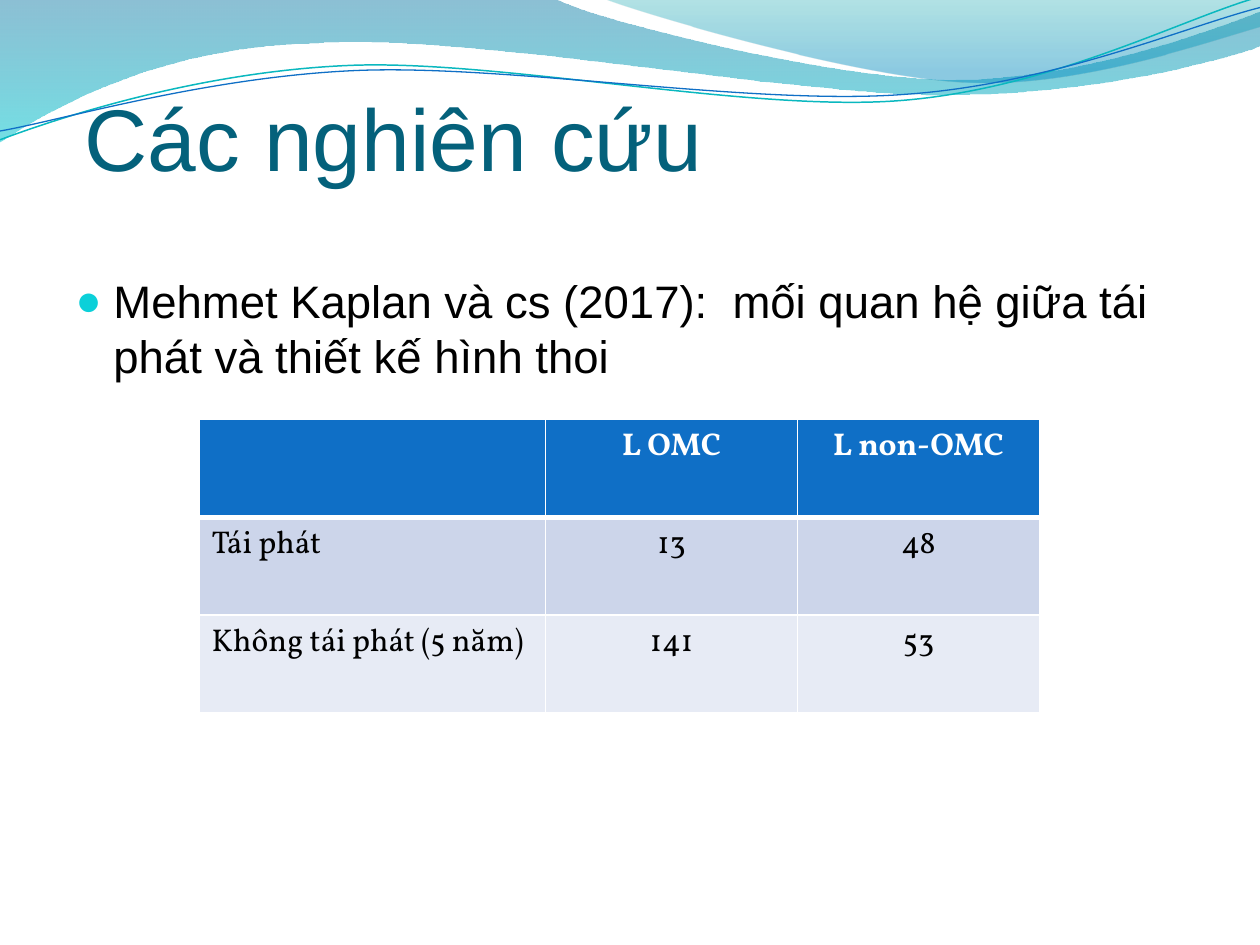
from dataclasses import dataclass
from typing import Optional

from lxml.etree import SubElement
from pptx import Presentation
from pptx.dml.color import RGBColor
from pptx.enum.text import MSO_ANCHOR, MSO_AUTO_SIZE, PP_ALIGN
from pptx.oxml.ns import qn
from pptx.util import Inches, Pt

ACCENT, BULLET = "0F6FC6", "0BD0D9"
WHITE, BLACK = "FFFFFF", "000000"


@dataclass
class Stop:
    position: float
    color: str
    opacity: int


@dataclass
class Wave:
    """Points are (x, y) for a line and (x1, y1, x2, y2, x, y) for a curve."""
    points: list
    stops: Optional[list] = None
    color: str = ""
    width: float = 0


WAVES = [
    Wave([(0, 0), (4.4, -0.01), (4.76, 0.17, 6.64, 0.63, 7.58, 0.63),
          (8.53, 0.63, 9.58, 0.26, 10, 0.09), (10.01, 0.36),
          (9.83, 0.44, 8.7, 0.76, 7.46, 0.75), (6.22, 0.75, 3.82, 0.28, 2.57, 0.34),
          (1.29, 0.36, 0.46, 0.83, -0.01, 1.13), (0, 0)],
         stops=[Stop(0, "0074A1", 45), Stop(1, "00C6CF", 55)]),
    Wave([(4.79, -0.01), (5.09, 0.11, 6.82, 0.62, 7.69, 0.65),
          (8.56, 0.69, 9.61, 0.32, 10, 0.21), (10, 0), (4.79, -0.01)],
         stops=[Stop(0, "00A1A9", 30), Stop(0.8, "008BBF", 45)]),
    Wave([(0, 1.11), (0.48, 0.93, 1.58, 0.57, 2.77, 0.52),
          (3.95, 0.47, 5.93, 0.89, 7.13, 0.8), (8.33, 0.71, 9.38, 0.15, 9.98, -0.02)],
         color="0AB8BF", width=0.85),
    Wave([(0, 1.04), (0.47, 0.96, 1.64, 0.61, 2.83, 0.56),
          (4.03, 0.51, 5.97, 0.84, 7.17, 0.75), (8.36, 0.67, 9.41, 0.21, 10, 0.06)],
         color=ACCENT, width=0.75),
]

RECURRENCE = [
    ["", "L OMC", "L non-OMC"],
    ["Tái phát", "13", "48"],
    ["Không tái phát (5 năm)", "141", "53"],
]
ROW_FILLS = [ACCENT, "CCD5EA", "E7EBF5"]
COLUMN_WIDTHS = [2.75, 2, 1.92]
ROW_HEIGHT = 2.33 / len(RECURRENCE)


def rgb(color: str) -> RGBColor:
    return RGBColor.from_string(color)


def write(frame, text: str, *, size: float, font: str = "Arial", color: str = BLACK,
          bold: bool = False, align=PP_ALIGN.LEFT, bullet: str = "") -> None:
    paragraph = frame.paragraphs[0]
    paragraph.alignment = align
    paragraph.space_before = Pt(0)
    if bullet:
        properties = paragraph._p.get_or_add_pPr()
        properties.set("marL", str(Inches(0.3)))
        properties.set("indent", str(-Inches(0.3)))
        SubElement(SubElement(properties, qn("a:buClr")), qn("a:srgbClr"), val=BULLET)
        SubElement(properties, qn("a:buSzPct"), val="95000")
        SubElement(properties, qn("a:buFont"), typeface="Arial")
        SubElement(properties, qn("a:buChar"), char=bullet)
    run = paragraph.add_run()
    run.text = text
    run.font.name, run.font.size, run.font.bold = font, Pt(size), bold
    run.font.color.rgb = rgb(color)


def place(shape, left: float, top: float, width: float, height: float) -> None:
    shape.left, shape.top = Inches(left), Inches(top)
    shape.width, shape.height = Inches(width), Inches(height)
    shape.text_frame.auto_size = MSO_AUTO_SIZE.NONE
    shape.text_frame.word_wrap = True


def bend(shape, points: list) -> None:
    """Join the three segments of every curve into one cubic curve."""
    segments = iter(shape.element.spPr.findall(".//" + qn("a:lnTo")))
    for point in points[1:]:
        first = next(segments)
        if len(point) == 2:
            continue
        first.tag = qn("a:cubicBezTo")
        for _ in range(2):
            extra = next(segments)
            extra.getparent().remove(extra)
            first.append(extra[0])


def draw_wave(slide, wave: Wave) -> None:
    start, *rest = [(Inches(x), Inches(y)) for point in wave.points
                    for x, y in zip(point[::2], point[1::2])]
    builder = slide.shapes.build_freeform(*start)
    builder.add_line_segments(rest, close=bool(wave.stops))
    shape = builder.convert_to_shape()
    bend(shape, wave.points)
    shape.shadow.inherit = False
    if not wave.stops:
        shape.fill.background()
        shape.line.color.rgb = rgb(wave.color)
        shape.line.width = Pt(wave.width)
        return
    shape.line.fill.background()
    shape.fill.gradient()
    shape.fill.gradient_angle = 270
    for target, stop in zip(shape.fill.gradient_stops, wave.stops):
        target.position = stop.position
        target.color.rgb = rgb(stop.color)
    colors = shape.element.spPr.findall(".//" + qn("a:gs") + "/" + qn("a:srgbClr"))
    for color, stop in zip(colors, wave.stops):
        SubElement(color, qn("a:alpha"), val=str(stop.opacity * 1000))


def set_borders(cell, **widths: float) -> None:
    properties = cell._tc.get_or_add_tcPr()
    for side in "LRTB":
        line = SubElement(properties, qn(f"a:ln{side}"), w=str(Pt(widths.get(side, 1))))
        SubElement(SubElement(line, qn("a:solidFill")), qn("a:srgbClr"), val=WHITE)


def draw_table(slide, left: float, top: float) -> None:
    table = slide.shapes.add_table(
        len(RECURRENCE), len(COLUMN_WIDTHS), Inches(left), Inches(top),
        Inches(sum(COLUMN_WIDTHS)), Inches(ROW_HEIGHT * len(RECURRENCE))).table
    for column, width in zip(table.columns, COLUMN_WIDTHS):
        column.width = Inches(width)
    for r, (labels, fill) in enumerate(zip(RECURRENCE, ROW_FILLS)):
        table.rows[r].height = Inches(ROW_HEIGHT)
        header = r == 0
        for c, label in enumerate(labels):
            cell = table.cell(r, c)
            set_borders(cell, T=3 if r == 1 else 1, B=3 if header else 1)
            cell.fill.solid()
            cell.fill.fore_color.rgb = rgb(fill)
            if label:
                write(cell.text_frame, label, size=18, font="Vollkorn", bold=header,
                      color=WHITE if header else BLACK,
                      align=PP_ALIGN.CENTER if c else PP_ALIGN.LEFT)


def main() -> None:
    deck = Presentation()
    deck.slide_width, deck.slide_height = Inches(10), Inches(7.5)
    slide = deck.slides.add_slide(deck.slide_layouts[1])

    # Wave decoration along the top
    for wave in WAVES:
        draw_wave(slide, wave)

    # Title and body, brought in front of the waves
    title, study = slide.shapes.title, slide.placeholders[1]
    for placeholder in (title, study):
        slide.shapes._spTree.append(placeholder.element)
    place(title, 0.67, 0.25, 9, 1.25)
    heading = title.text_frame
    heading.margin_left = heading.margin_right = heading.margin_bottom = 0
    heading.vertical_anchor = MSO_ANCHOR.BOTTOM
    write(heading, "Các nghiên cứu", size=50, color="04617B")

    # Study and its results
    place(study, 0.5, 2.12, 9, 4.8)
    write(study.text_frame,
          "Mehmet Kaplan và cs (2017):  mối quan hệ giữa tái phát và thiết kế hình thoi",
          size=26, bullet="●")
    draw_table(slide, 1.58, 3.33)

    deck.save("out.pptx")


if __name__ == "__main__":
    main()
